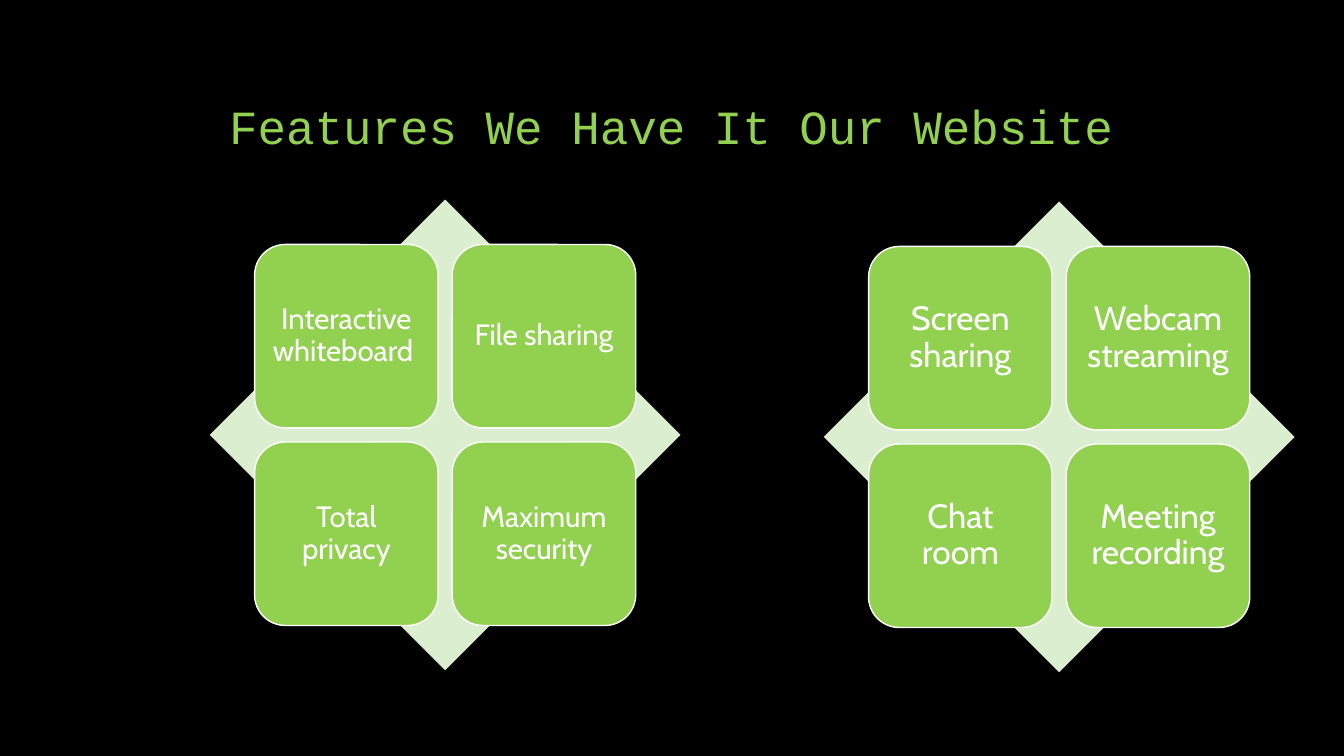
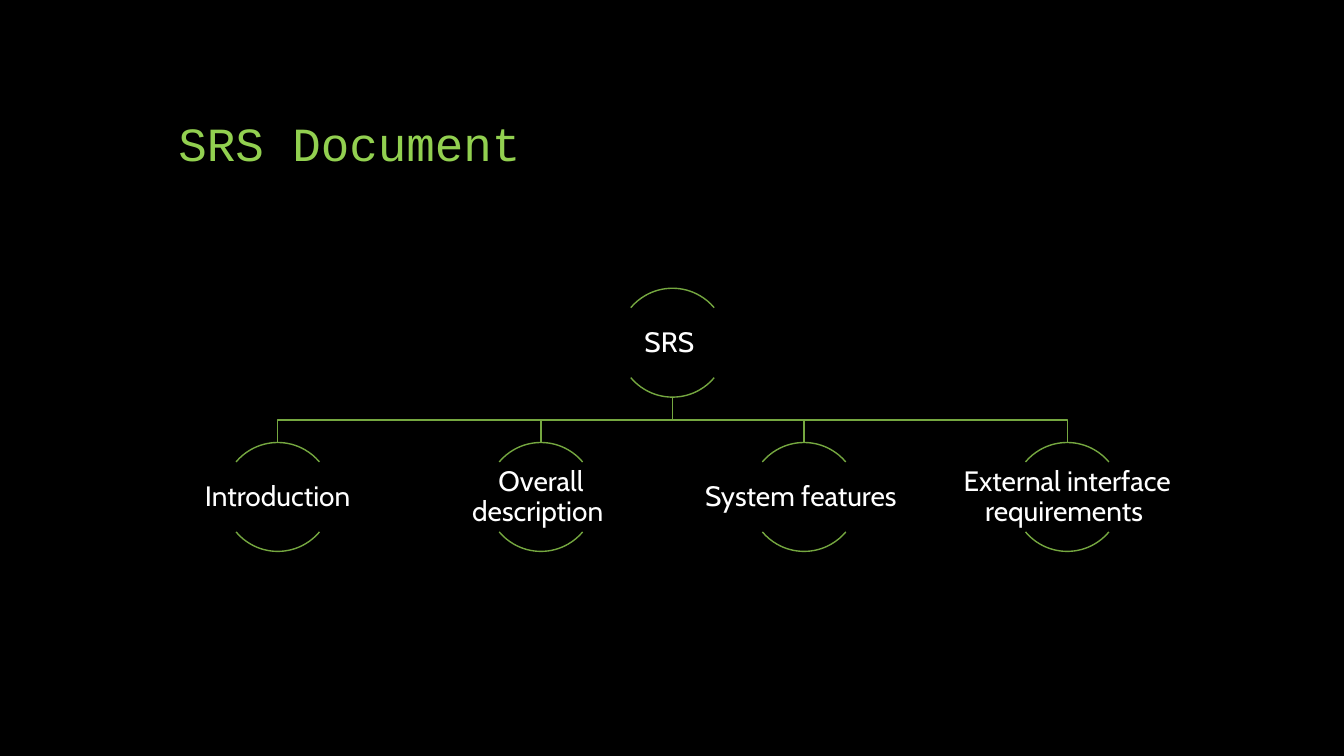
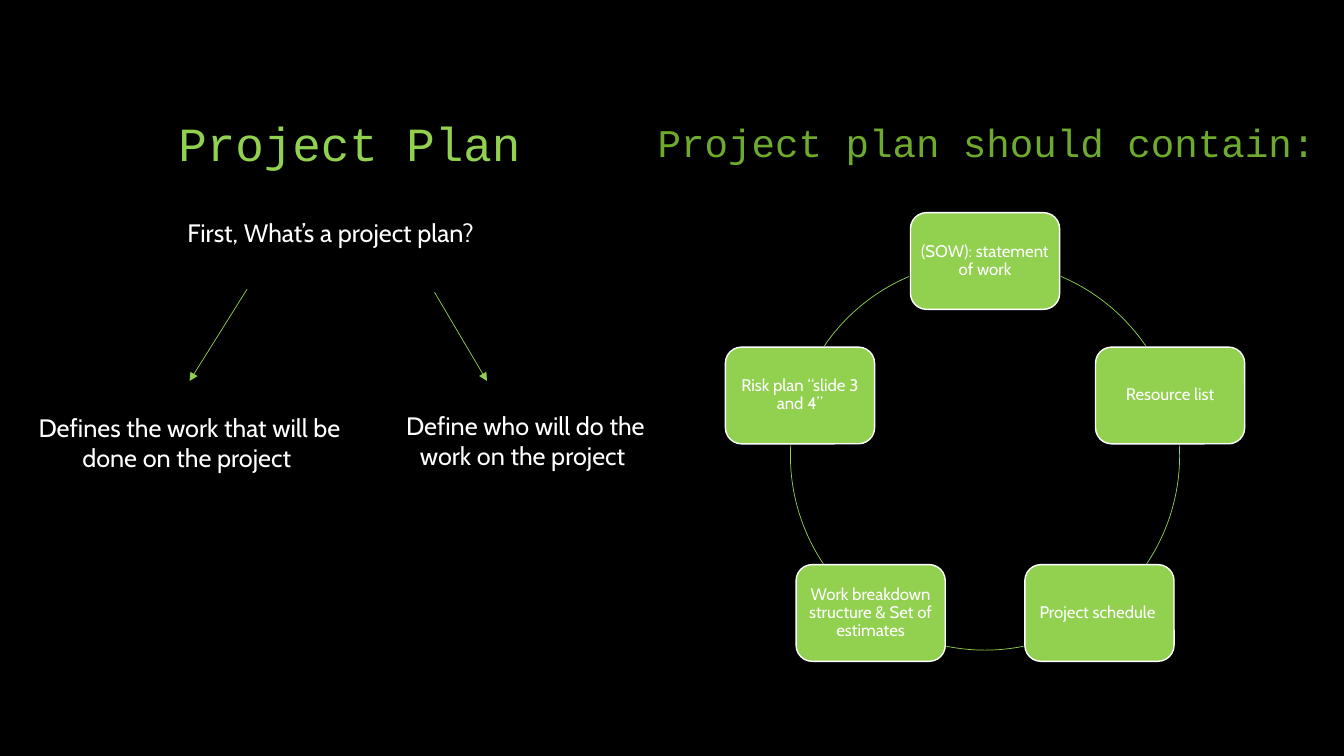
import math
import pptx
import pptx.util
import pptx.dml.color
import pptx.enum.shapes
import pptx.enum.text
import pptx.oxml
import pptx.oxml.ns

Inches = pptx.util.Inches
Pt = pptx.util.Pt
SHAPE = pptx.enum.shapes.MSO_SHAPE
ALIGN = pptx.enum.text.PP_ALIGN
ANCHOR = pptx.enum.text.MSO_ANCHOR

BLACK, WHITE = "000000", "FFFFFF"
LIME, PALE, LEAF, MOSS = "92D050", "DCEED0", "75A740", "6EAA2E"
BODY, MONO = "Cabin", "Courier New"

FEATURES = [
    {"left": 8.17, "top": 2, "size": 24, "pad": 0.1,
     "items": ["Screen sharing", "Webcam streaming", "Chat room", "Meeting recording"]},
    {"left": 2.08, "top": 1.98, "size": 21, "pad": 0.09,
     "items": ["Interactive whiteboard ", "File sharing", "Total privacy", "Maximum security"]},
]
ROOT = "SRS "
PARTS = ["Introduction", "Overall description ", "System features ",
         "External interface requirements "]
STEPS = ["(SOW): statement of work", "Resource list", "Project schedule ",
         "Work breakdown structure & Set of estimates", "Risk plan “slide 3 and 4”"]
ARCS = [(293, 325.6), (357, 33.8), (78.6, 101.4), (146.2, 183), (214.4, 247)]
NOTES = [
    ("First, What’s a project plan?", (1.76, 2.11, 3.32, 0.4), ALIGN.LEFT),
    ("Defines the work that will be done on the project ", (0.15, 4.04, 3.46, 0.71), ALIGN.CENTER),
    ("Define who will do the work on the project ", (3.75, 4.02, 2.92, 0.71), ALIGN.CENTER),
]
ARROWS = [((4.31, 2.9), (4.83, 3.78)), ((2.45, 2.87), (1.88, 3.78))]


def color(code):
    return pptx.dml.color.RGBColor.from_string(code)


def write(host, words, size=18, font=BODY, ink=WHITE, align=ALIGN.CENTER,
          anchor=ANCHOR.MIDDLE, pad=(0.1, 0.05), space=0.9):
    frame = host.text_frame
    frame.word_wrap = True
    frame.vertical_anchor = anchor
    frame.margin_left = frame.margin_right = Inches(pad[0])
    frame.margin_top = frame.margin_bottom = Inches(pad[1])
    para = frame.paragraphs[0]
    para.alignment = align
    para.line_spacing = space
    run = para.add_run()
    run.text = words
    run.font.size = Pt(size)
    run.font.name = font
    run.font.color.rgb = color(ink)


def label(slide, words, place, **style):
    write(slide.shapes.add_textbox(*map(Inches, place)), words, **style)


def title(slide, words, place=(1.67, 0.5, 10, 1.25), align=ALIGN.LEFT):
    label(slide, words, place, size=34, font=MONO, ink=LIME, align=align, anchor=ANCHOR.BOTTOM)


def paint(shape, fill=None, line=None, width=1):
    shape.shadow.inherit = False
    if fill:
        shape.fill.solid()
        shape.fill.fore_color.rgb = color(fill)
    else:
        shape.fill.background()
    if line:
        shape.line.color.rgb = color(line)
        shape.line.width = Pt(width)
    else:
        shape.line.fill.background()


def draw(slide, kind, place, **look):
    shape = slide.shapes.add_shape(kind, *map(Inches, place))
    paint(shape, **look)
    return shape


def card(slide, words, place, size, pad):
    shape = draw(slide, SHAPE.ROUNDED_RECTANGLE, place, fill=LIME, line=WHITE)
    write(shape, words, size=size, pad=(pad, pad))


def arc(slide, place, start, end, **look):
    shape = draw(slide, SHAPE.ARC, place, **look)
    shape.adjustments[0] = start * 0.6
    shape.adjustments[1] = end * 0.6


def arrow(slide, start, end):
    line = slide.shapes.add_connector(
        pptx.enum.shapes.MSO_CONNECTOR.STRAIGHT, *map(Inches, start + end))
    line.line.color.rgb = color(LIME)
    line.line.width = Pt(0.5)
    props = line._element.spPr
    tip = pptx.oxml.parse_xml(
        '<a:tailEnd %s type="triangle"/>' % pptx.oxml.ns.nsdecls("a"))
    props.find(pptx.oxml.ns.qn("a:ln")).append(tip)
    props.append(pptx.oxml.parse_xml("<a:effectLst %s/>" % pptx.oxml.ns.nsdecls("a")))


def matrix(slide, left, top, size, pad, items):
    span, side, inset, step = 4.67, 1.82, 0.445, 1.96
    draw(slide, SHAPE.DIAMOND, (left, top, span, span), fill=PALE)
    for i, words in enumerate(items):
        row, col = divmod(i, 2)
        place = (left + inset + col * step, top + inset + row * step, side, side)
        card(slide, words, place, size, pad)


def node(slide, words, mid, top):
    side, width, high = 1.08, 2.16, 0.69
    for start, end in [(220, 320), (40, 140)]:
        arc(slide, (mid - side / 2, top, side, side), start, end, line=LEAF)
    label(slide, words, (mid - width / 2, top + 0.2, width, high), size=20, pad=(0.01, 0.01))


def tree(slide):
    mid, top, base, low, step = 6.67, 2.86, 3.94, 4.39, 2.61
    bar = (base + low) / 2
    spots = [mid + (i - (len(PARTS) - 1) / 2) * step for i in range(len(PARTS))]
    for x in spots:
        pen = slide.shapes.build_freeform(Inches(mid), Inches(base))
        turns = [(mid, bar), (x, bar), (x, low)]
        pen.add_line_segments([(Inches(a), Inches(b)) for a, b in turns], close=False)
        paint(pen.convert_to_shape(), line=LEAF)
    node(slide, ROOT, mid, top)
    for words, x in zip(PARTS, spots):
        node(slide, words, x, low)


def ring(slide):
    mid, axis, reach, width, high = 9.77, 4.52, 1.93, 1.48, 0.96
    for i, words in enumerate(STEPS):
        turn = math.tau * i / len(STEPS)
        x, y = mid + reach * math.sin(turn), axis - reach * math.cos(turn)
        card(slide, words, (x - width / 2, y - high / 2, width, high), 12, 0.05)
    for start, end in ARCS:
        arc(slide, (mid - reach, axis - reach, 2 * reach, 2 * reach), start, end,
            line=LIME, width=0.5)


def main():
    deck = pptx.Presentation()
    deck.slide_width, deck.slide_height = Inches(13.33), Inches(7.5)
    back = deck.slide_master.background.fill
    back.solid()
    back.fore_color.rgb = color(BLACK)
    first, second, third = [deck.slides.add_slide(deck.slide_layouts[6]) for _ in range(3)]

    title(first, "Features We Have It Our Website", (0.62, 0.33, 12.08, 1.25), ALIGN.CENTER)
    for group in FEATURES:
        matrix(first, **group)

    title(second, "SRS Document")
    tree(second)

    title(third, "Project Plan")
    label(third, "Project plan should contain:", (6.24, 1.12, 7.09, 0.98),
          size=28, font=MONO, ink=MOSS, anchor=ANCHOR.TOP, space=1.0)
    ring(third)
    for words, place, align in NOTES:
        label(third, words, place, align=align, anchor=ANCHOR.TOP, space=1.0)
    for start, end in ARROWS:
        arrow(third, start, end)

    deck.save("out.pptx")


if __name__ == "__main__":
    main()
